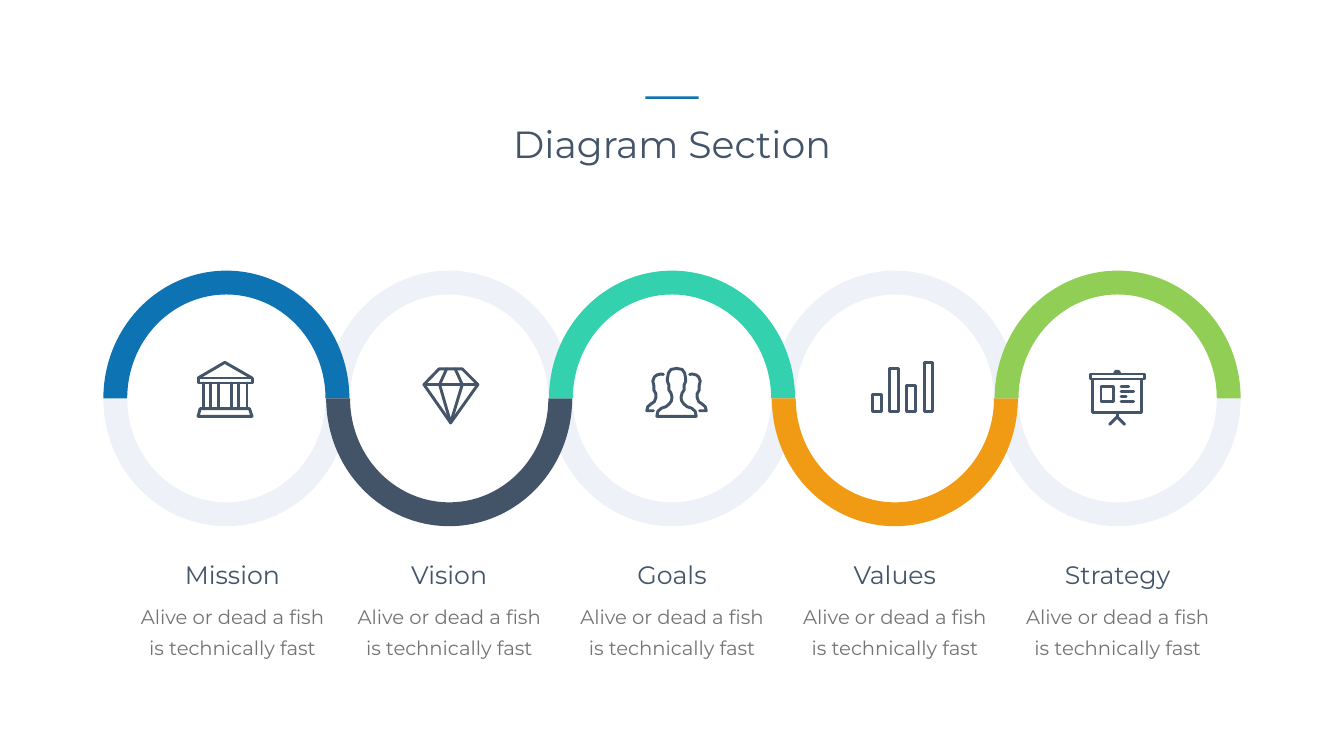
import pptx
import pptx.util
import pptx.dml.color
import pptx.enum.shapes
import pptx.enum.text
import pptx.oxml.ns
from lxml import etree

Inches, Pt = pptx.util.Inches, pptx.util.Pt
MSO_SHAPE = pptx.enum.shapes.MSO_SHAPE

THEME = {
    "font": "Montserrat", "ink": "445469", "grey": "737572", "accent": "0D73B2",
    "track": "EFF1F8", "title": 54, "heading": 36, "body": 28, "leading": 44.4,
    "stroke": 4.2,
}


def box(x1, y1, x2, y2):
    return [(x1, y1), (x2, y1), (x2, y2), (x1, y2), (x1, y1)]


def mirrored(points, width=124):
    return [(width - x, y) for x, y in points]


HEAD = [(62, 3), (73, 5), (78, 12), (80, 22), (80, 29), (77, 36), (77, 46), (73, 52),
        (71, 60), (72, 67), (76, 73), (83, 79), (92, 82), (99, 88), (101, 98)]
SIDE = [(88, 15), (93, 14), (101, 16), (106, 20), (109, 28), (107, 37), (107, 46),
        (103, 53), (103, 61), (106, 69), (112, 73), (119, 79), (121, 87), (108, 87)]

BANK = [
    [(3, 34), (56, 3), (110, 34)], box(3, 34, 110, 44),
    *[[(x, 44), (x, 95)] for x in (13, 28, 44, 70, 84, 100)],
    [(7, 95), (105, 95), (110, 110), (3, 110), (7, 95)],
]
DIAMOND = [
    [(33, 3), (79, 3), (110, 34), (56, 110), (3, 34), (33, 3)],
    [(3, 34), (110, 34)],
    [(48, 3), (34, 34), (56, 110), (79, 34), (65, 3)],
]
PEOPLE = [mirrored(HEAD)[::-1] + HEAD[1:] + mirrored(HEAD)[-1:], SIDE, mirrored(SIDE)]
BARS = [box(3 + 34 * n, top, 20 + 34 * n, 100) for n, top in enumerate((66, 15, 49, 3))]
BOARD = [
    box(3, 8, 110, 18), box(8, 18, 105, 84), box(24, 33, 48, 63),
    [(51, 7), (53, 3), (59, 3), (61, 7)],
    [(56, 84), (56, 93)], [(41, 108), (56, 93), (71, 108)],
    *[[(64, y), (x, y)] for x, y in ((79, 33), (89, 43), (74, 53), (89, 63))],
]

TITLE = "Diagram Section"
BODY = "Alive or dead a fish is technically fast"
STEPS = [
    {"name": "Mission", "width": 2.11, "color": "0D73B2", "center": 4.61,
     "icon": BANK, "at": (3.9, 7.16)},
    {"name": "Vision", "width": 1.73, "color": "445468", "center": 8.91,
     "icon": DIAMOND, "at": (8.38, 7.29)},
    {"name": "Goals", "width": 1.59, "color": "33D1AD", "center": 13.33,
     "icon": PEOPLE, "at": (12.8, 7.28)},
    {"name": "Values", "width": 1.88, "color": "F19A14", "center": 17.75,
     "icon": BARS, "at": (17.28, 7.16)},
    {"name": "Strategy", "width": 2.35, "color": "91CE55", "center": 22.17,
     "icon": BOARD, "at": (21.6, 7.34)},
]
RING = {"left": 2.05, "top": 5.37, "width": 4.88, "height": 5.07, "pitch": 4.42}


def rgb(value):
    return pptx.dml.color.RGBColor.from_string(value)


def add_filled(s, kind, x, y, w, h, color):
    sp = s.shapes.add_shape(kind, Inches(x), Inches(y), Inches(w), Inches(h))
    sp.shadow.inherit = False
    sp.fill.solid()
    sp.fill.fore_color.rgb = rgb(color)
    sp.line.fill.background()
    return sp


def add_arc(s, index, color, lower):
    x = RING["left"] + RING["pitch"] * index
    sp = add_filled(s, MSO_SHAPE.BLOCK_ARC, x, RING["top"], RING["width"], RING["height"], color)
    for n, value in enumerate((108, 0, 0.097)):
        sp.adjustments[n] = value
    sp.rotation = 180 if lower else 0


def add_text(s, text, center, y, w, h, size, color, wrap=True, leading=None):
    sp = s.shapes.add_textbox(Inches(center - w / 2), Inches(y), Inches(w), Inches(h))
    tf = sp.text_frame
    tf.word_wrap = wrap
    tf.auto_size = pptx.enum.text.MSO_AUTO_SIZE.SHAPE_TO_FIT_TEXT
    p = tf.paragraphs[0]
    p.alignment = pptx.enum.text.PP_ALIGN.CENTER
    if leading:
        p.line_spacing = Pt(leading)
    r = p.add_run()
    r.text = text
    for key, value in {"name": THEME["font"], "size": Pt(size)}.items():
        setattr(r.font, key, value)
    r.font.color.rgb = rgb(color)


def add_icon(s, contours, x, y):
    builder = s.shapes.build_freeform(*contours[0][0], scale=Inches(0.01))
    for n, points in enumerate(contours):
        if n:
            builder.move_to(*points[0])
        builder.add_line_segments(points[1:], close=False)
    sp = builder.convert_to_shape(Inches(x), Inches(y))
    sp.shadow.inherit = False
    sp.fill.background()
    sp.line.color.rgb = rgb(THEME["ink"])
    sp.line.width = Pt(THEME["stroke"])
    ln = sp.line._get_or_add_ln()
    ln.set("cap", "rnd")
    etree.SubElement(ln, pptx.oxml.ns.qn("a:round"))


def main():
    prs = pptx.Presentation()
    prs.slide_width, prs.slide_height = Inches(26.66), Inches(15)
    s = prs.slides.add_slide(prs.slide_layouts[6])
    middle = 13.33

    add_text(s, TITLE, middle, 2.34, 10.18, 1.01, THEME["title"], THEME["ink"])
    add_filled(s, MSO_SHAPE.RECTANGLE, middle - 0.53, 1.91, 1.06, 0.05, THEME["accent"])

    for i in range(len(STEPS)):
        add_arc(s, i, THEME["track"], lower=i % 2 == 0)
    for i, step in enumerate(STEPS):
        add_arc(s, i, step["color"], lower=i % 2 == 1)
    for step in STEPS:
        add_text(s, step["name"], step["center"], 11.05, step["width"], 0.71,
                 THEME["heading"], THEME["ink"], wrap=False)
        add_text(s, BODY, step["center"], 11.81, 4.08, 1.28,
                 THEME["body"], THEME["grey"], leading=THEME["leading"])
        add_icon(s, step["icon"], *step["at"])

    prs.save("out.pptx")


if __name__ == "__main__":
    main()
